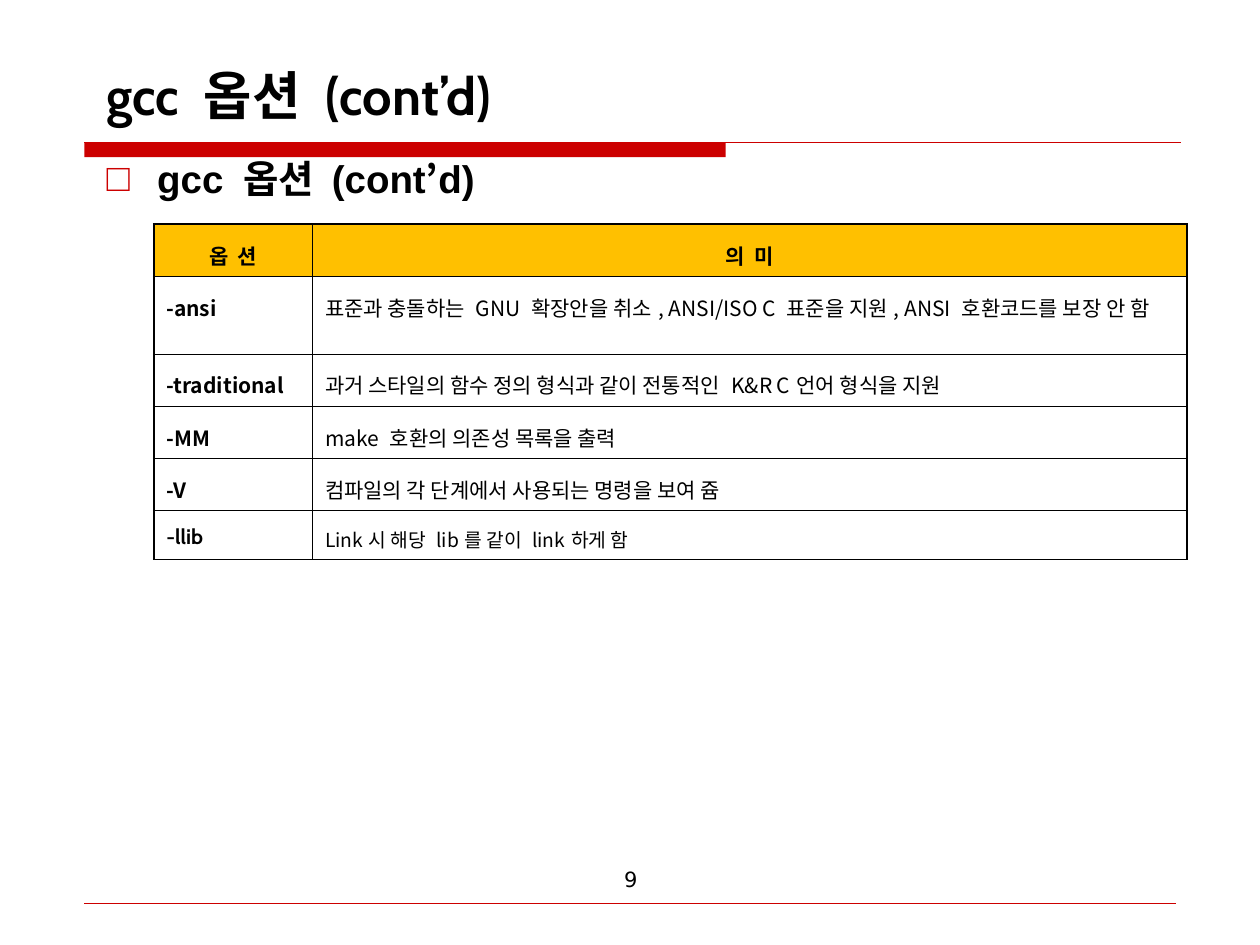
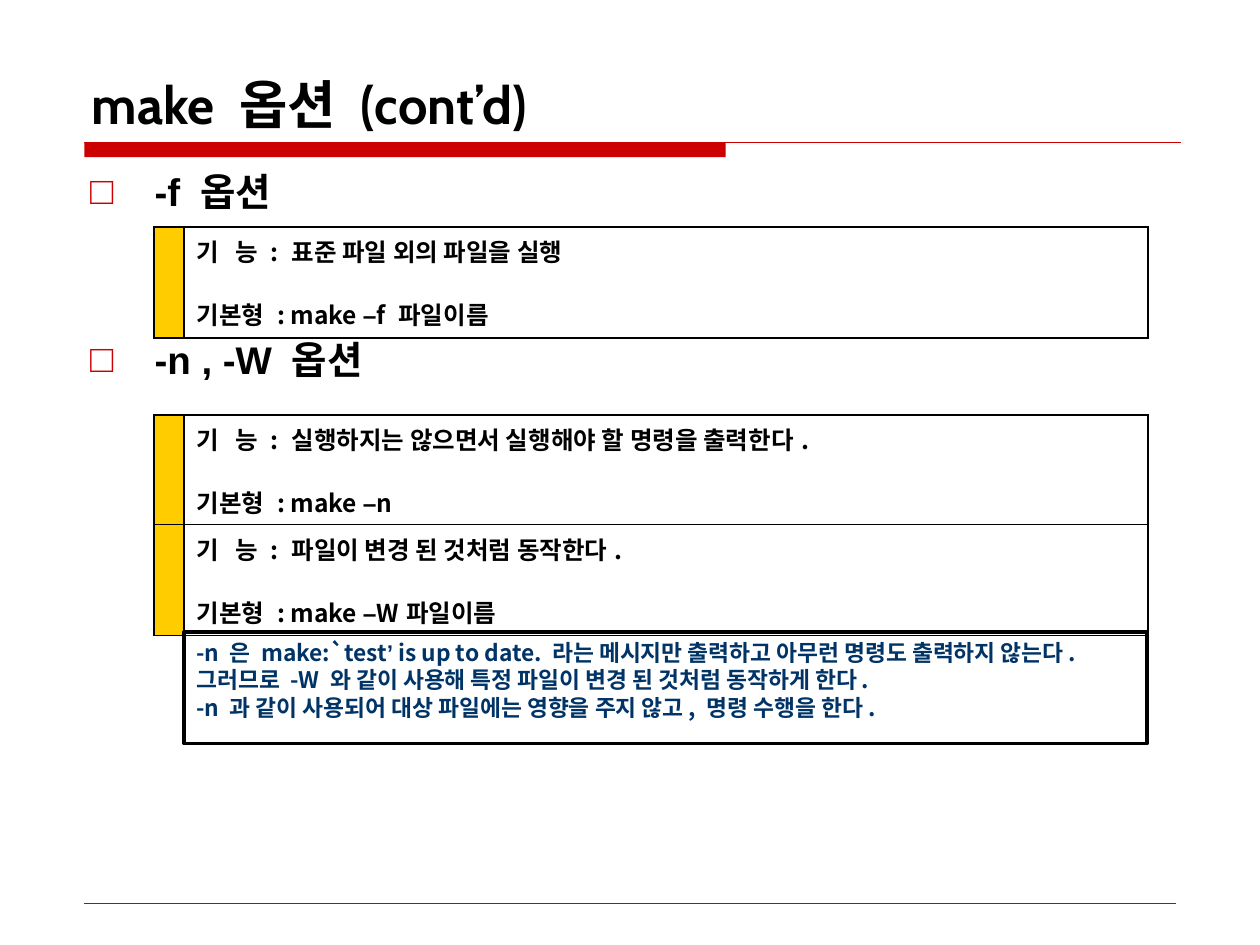
from dataclasses import dataclass
from typing import NamedTuple, Optional

from lxml.etree import SubElement
from pptx import Presentation
from pptx.dml.color import RGBColor
from pptx.enum.shapes import MSO_CONNECTOR, MSO_SHAPE
from pptx.enum.text import MSO_ANCHOR, PP_ALIGN
from pptx.oxml.ns import qn
from pptx.util import Cm, Pt


@dataclass(frozen=True)
class Theme:
    red: str = "CC0000"
    black: str = "000000"
    white: str = "FFFFFF"
    navy: str = "003366"
    header_fill: str = "FFC000"
    marker_fill: str = "FFCC00"
    korean: str = "Noto Sans CJK KR"
    latin: str = "Arial"
    display: str = "Cabin"
    number: str = "DejaVu Sans"
    title_size: float = 30
    heading_size: float = 22
    usage_size: float = 14
    note_size: float = 13
    table_size: float = 12
    small_size: float = 11
    thick: float = 1.08
    thin: float = 0.45


THEME = Theme()


class Span(NamedTuple):
    text: str
    font: Optional[str] = None
    spacing: float = 0  # extra points after each letter


class Style(NamedTuple):
    size: float
    font: str = THEME.korean
    bold: bool = True
    color: str = THEME.black
    align: PP_ALIGN = PP_ALIGN.LEFT
    line_spacing: float = 1.0


class Area(NamedTuple):
    """Left, top, width and height in centimetres."""
    left: float
    top: float
    width: float
    height: float

    def lengths(self) -> list:
        return [Cm(value) for value in self]


class Option(NamedTuple):
    flag: str
    meaning: str
    height: float = 1.05
    flag_font: str = THEME.korean
    meaning_size: float = THEME.table_size


class Usage(NamedTuple):
    top: float
    purpose: str
    argument: str


TITLE = Style(THEME.title_size, THEME.display)
HEADING = Style(THEME.heading_size, THEME.latin)
PAGE_NUMBER = Style(THEME.table_size, THEME.number, bold=False, align=PP_ALIGN.CENTER)
TABLE_HEADER = Style(THEME.table_size, align=PP_ALIGN.CENTER, line_spacing=1.3)
USAGE = Style(THEME.usage_size)
NOTE = Style(THEME.note_size, color=THEME.navy)

TABLE_LEFT = 3.1
OPTION_COLUMNS = [3.2, 17.63]
USAGE_COLUMNS = [0.61, 19.43]
USAGE_HEIGHT = 2.24

OPTIONS = [
    Option("-ansi", "표준과 충돌하는 GNU 확장안을 취소, ANSI/ISO C 표준을 지원, "
           "ANSI 호환코드를 보장 안 함", height=1.57),
    Option("-traditional", "과거 스타일의 함수 정의 형식과 같이 전통적인 K&R C언어 형식을 지원"),
    Option("-MM", "make 호환의 의존성 목록을 출력"),
    Option("-V", "컴파일의 각 단계에서 사용되는 명령을 보여 쥼"),
    Option("-llib", "Link시 해당 lib를 같이 link하게 함", height=0.99,
           flag_font=THEME.display, meaning_size=THEME.small_size),
]

USAGES = [
    Usage(4.57, "표준 파일 외의 파일을 실행", "f 파일이름"),
    Usage(8.36, "실행하지는 않으면서 실행해야 할 명령을 출력한다.", "n"),
    Usage(10.57, "파일이 변경 된 것처럼 동작한다.", "W파일이름"),
]

NOTE_LINES = [
    [Span("-n 은 make:`test"), Span("’", THEME.latin),
     Span(" is up to date. 라는 메시지만 출력하고 아무런 명령도 출력하지 않는다.")],
    [Span("그러므로 -W 와 같이 사용해 특정 파일이 변경 된 것처럼 동작하게 한다.")],
    [Span("-n 과 같이 사용되어 대상 파일에는 영향을 주지 않고, 명령 수행을 한다.")],
]


def rgb(color: str) -> RGBColor:
    return RGBColor.from_string(color)


def write(para, spans: list[Span], style: Style) -> None:
    para.alignment = style.align
    para.line_spacing = style.line_spacing
    font = para.font
    font.size, font.bold, font.name = Pt(style.size), style.bold, style.font
    font.color.rgb = rgb(style.color)
    defaults = para._p.get_or_add_pPr().find(qn("a:defRPr"))
    SubElement(defaults, qn("a:ea"), typeface=THEME.korean)
    for span in spans:
        run = para.add_run()
        run.text = span.text
        if span.font:
            run.font.name = span.font
        if span.spacing:
            run._r.get_or_add_rPr().set("spc", str(round(span.spacing * 100)))


def write_lines(frame, lines: list[list[Span]], style: Style) -> None:
    for index, spans in enumerate(lines):
        para = frame.add_paragraph() if index else frame.paragraphs[0]
        write(para, spans, style)


def add_text(page, area: Area, spans: list[Span], style: Style, anchor=MSO_ANCHOR.TOP):
    box = page.shapes.add_textbox(*area.lengths())
    frame = box.text_frame
    frame.word_wrap = True
    frame.vertical_anchor = anchor
    write(frame.paragraphs[0], spans, style)


def add_heading(page, left: float, top: float, indent: float, spans: list[Span]) -> None:
    box = page.shapes.add_textbox(*Area(left, top, 22.2, 1.4).lengths())
    box.text_frame.word_wrap = True
    para = box.text_frame.paragraphs[0]
    properties = para._p.get_or_add_pPr()
    properties.set("marL", str(Cm(indent)))
    properties.set("indent", str(-Cm(indent)))
    color = SubElement(properties, qn("a:buClr"))
    SubElement(color, qn("a:srgbClr"), val=THEME.red)
    SubElement(properties, qn("a:buFont"), typeface=THEME.latin)
    SubElement(properties, qn("a:buChar"), char="□")
    write(para, spans, HEADING)


def add_rule(page, left: float, right: float, top: float, width: float) -> None:
    rule = page.shapes.add_connector(
        MSO_CONNECTOR.STRAIGHT, Cm(left), Cm(top), Cm(right), Cm(top))
    rule.line.color.rgb = rgb(THEME.red)
    rule.line.width = Pt(width)
    SubElement(rule._element.spPr, qn("a:effectLst"))


def add_page(deck, title: str, left: float, top: float):
    """Add a slide with the red title band, footer rule and title."""
    page = deck.slides.add_slide(deck.slide_layouts[6])
    band = page.shapes.add_shape(MSO_SHAPE.RECTANGLE, *Area(1.7, 2.87, 12.93, 0.3).lengths())
    band.shadow.inherit = False
    band.fill.solid()
    band.fill.fore_color.rgb = rgb(THEME.red)
    band.line.fill.background()
    add_rule(page, 1.7, 23.8, 2.87, 0.75)
    add_rule(page, 1.7, 23.7, 18.21, 0.25)
    add_text(page, Area(left, top, 22.2, 1.86), [Span(title)], TITLE, MSO_ANCHOR.BOTTOM)
    return page


def set_borders(cell, widths: dict[str, float]) -> None:
    properties = cell._tc.get_or_add_tcPr()
    for side, width in widths.items():
        line = SubElement(properties, qn(f"a:ln{side}"), w=str(Pt(width)))
        fill = SubElement(line, qn("a:solidFill"))
        SubElement(fill, qn("a:srgbClr"), val=THEME.black)


def add_grid(page, top: float, columns: list[float], rows: list[float], inner: float):
    """Add an empty white table with a thick frame and inner lines of the given width."""
    area = Area(TABLE_LEFT, top, sum(columns), sum(rows))
    table = page.shapes.add_table(len(rows), len(columns), *area.lengths()).table
    table.first_row = table.horz_banding = False
    for column, width in zip(table.columns, columns):
        column.width = Cm(width)
    last_row, last_column = len(rows) - 1, len(columns) - 1
    for y, height in enumerate(rows):
        table.rows[y].height = Cm(height)
        for x in range(len(columns)):
            on_frame = {"L": x == 0, "R": x == last_column, "T": y == 0, "B": y == last_row}
            cell = table.cell(y, x)
            set_borders(cell, {side: THEME.thick if outer else inner
                               for side, outer in on_frame.items()})
            fill_cell(cell, THEME.white)
    return table


def fill_cell(cell, color: str) -> None:
    cell.fill.solid()
    cell.fill.fore_color.rgb = rgb(color)


def add_option_table(page) -> None:
    rows = [1.05] + [option.height for option in OPTIONS]
    table = add_grid(page, 4.52, OPTION_COLUMNS, rows, THEME.thin)
    for x, (first, second) in enumerate(["옵션", "의미"]):
        cell = table.cell(0, x)
        fill_cell(cell, THEME.header_fill)
        spans = [Span(f"{first} ", spacing=1.3), Span(second)]
        write(cell.text_frame.paragraphs[0], spans, TABLE_HEADER)
    body = TABLE_HEADER._replace(align=PP_ALIGN.LEFT)
    for y, option in enumerate(OPTIONS, start=1):
        flag, meaning = (table.cell(y, x).text_frame.paragraphs[0] for x in range(2))
        write(flag, [Span(option.flag)], body._replace(font=option.flag_font))
        write(meaning, [Span(option.meaning)],
              body._replace(size=option.meaning_size, bold=False))


def add_usage_table(page, usage: Usage) -> None:
    table = add_grid(page, usage.top, USAGE_COLUMNS, [USAGE_HEIGHT], THEME.thick)
    fill_cell(table.cell(0, 0), THEME.marker_fill)
    frame = table.cell(0, 1).text_frame
    write_lines(frame, [
        [Span("기 ", spacing=3.1), Span(f"능 : {usage.purpose}")],
        [Span("기본형 : make "), Span("–", THEME.latin), Span(usage.argument)],
    ], USAGE)
    syntax = frame.paragraphs[1]
    syntax.line_spacing = 1.6
    syntax.space_before = Pt(3.5)


def add_note(page) -> None:
    note = page.shapes.add_shape(MSO_SHAPE.RECTANGLE, *Area(3.71, 12.75, 19.41, 2.24).lengths())
    note.shadow.inherit = False
    note.fill.background()
    note.line.color.rgb = rgb(THEME.black)
    note.line.width = Pt(2.25)
    note.text_frame.word_wrap = True
    note.text_frame.vertical_anchor = MSO_ANCHOR.TOP
    write_lines(note.text_frame, NOTE_LINES, NOTE)


def add_gcc_page(deck) -> None:
    page = add_page(deck, "gcc 옵션 (cont’d)", 1.9, 0.81)
    add_heading(page, 1.9, 3.0, 1.02,
                [Span("gcc 옵션 (cont"), Span("’", THEME.korean), Span("d)")])
    add_option_table(page)
    add_text(page, Area(8.69, 17.35, 8.05, 1.32), [Span("9")], PAGE_NUMBER)


def add_make_page(deck) -> None:
    page = add_page(deck, "make 옵션 (cont’d)", 1.6, 0.98)
    for top, heading in [(3.27, "-f 옵션"), (6.65, "-n , -W 옵션")]:
        add_heading(page, 1.57, top, 1.3, [Span(heading)])
    for usage in USAGES:
        add_usage_table(page, usage)
    add_note(page)


def main() -> None:
    deck = Presentation()
    deck.slide_width, deck.slide_height = Cm(25.4), Cm(19.05)
    add_gcc_page(deck)
    add_make_page(deck)
    deck.save("out.pptx")


if __name__ == "__main__":
    main()
